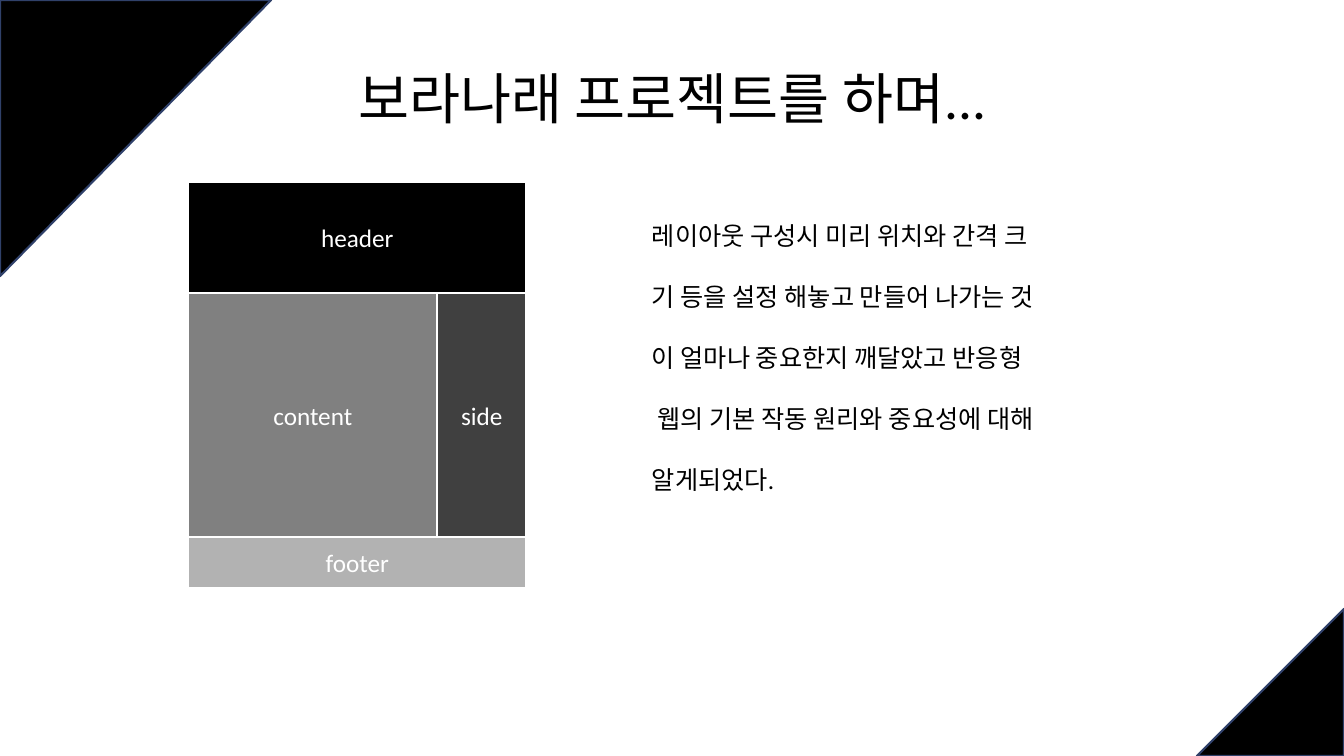
from pptx import Presentation
from pptx.dml.color import RGBColor
from pptx.enum.shapes import MSO_SHAPE
from pptx.enum.text import MSO_ANCHOR, MSO_AUTO_SIZE, PP_ALIGN
from pptx.util import Pt

RECTANGLE = MSO_SHAPE.RECTANGLE
RIGHT_TRIANGLE = MSO_SHAPE.RIGHT_TRIANGLE
MIDDLE = MSO_ANCHOR.MIDDLE
NO_AUTOFIT = MSO_AUTO_SIZE.NONE
LEFT, CENTER = PP_ALIGN.LEFT, PP_ALIGN.CENTER

SLIDE_W, SLIDE_H = 960, 540
BLACK, WHITE, NAVY = "000000", "FFFFFF", "30416A"


def add_filled(kind, x, y, w, h, fill, outline):
    shape = slide.shapes.add_shape(kind, Pt(x), Pt(y), Pt(w), Pt(h))
    shape.shadow.inherit = False
    shape.fill.solid()
    shape.fill.fore_color.rgb = RGBColor.from_string(fill)
    shape.line.color.rgb = RGBColor.from_string(outline)
    shape.line.width = Pt(1.5)
    return shape


def format_text(frame, size, color, align):
    for paragraph in frame.paragraphs:
        paragraph.alignment = align
        for run in paragraph.runs:
            run.font.name = "Calibri"
            run.font.size = Pt(size)
            run.font.color.rgb = RGBColor.from_string(color)


prs = Presentation()
prs.slide_width, prs.slide_height = Pt(SLIDE_W), Pt(SLIDE_H)
slide = prs.slides.add_slide(prs.slide_layouts[5])

# Title
title = slide.shapes.title
title.left, title.top, title.width, title.height = Pt(167), Pt(41), Pt(626.4), Pt(57.6)
title.text_frame.text = "보라나래 프로젝트를 하며..."
title.text_frame.auto_size = NO_AUTOFIT
title.text_frame.vertical_anchor = MIDDLE
format_text(title.text_frame, 39.6, BLACK, CENTER)

# Corner triangles; the turned one is sized before its quarter turn
corner_w, corner_h = 193.7, 197.3
shift = (corner_w - corner_h) / 2
top_corner = add_filled(RIGHT_TRIANGLE, shift, -shift, corner_h, corner_w, BLACK, NAVY)
top_corner.rotation = 90

corner_side = 105.1
bottom_corner = add_filled(RIGHT_TRIANGLE, SLIDE_W - corner_side, SLIDE_H - corner_side,
                           corner_side, corner_side, BLACK, NAVY)
bottom_corner.rotation = 270

# Reflection text
reflection = slide.shapes.add_textbox(Pt(458.6), Pt(154.1), Pt(411), Pt(266.4)).text_frame
reflection.word_wrap = True
reflection.text = "\n".join([
    "레이아웃 구성시 미리 위치와 간격 크",
    "기 등을 설정 해놓고 만들어 나가는 것",
    "이 얼마나 중요한지 깨달았고 반응형",
    " 웹의 기본 작동 원리와 중요성에 대해",
    "알게되었다.",
])
format_text(reflection, 18, BLACK, LEFT)
for paragraph in reflection.paragraphs:
    paragraph.space_after = Pt(22)

# Page layout diagram: rows of (height, [(label, width, fill), ...])
layout_left, layout_top = 134.6, 130.3
content_w, side_w = 177.8, 63.4
layout_rows = [
    (79.2, [("header", content_w + side_w, BLACK)]),
    (174.2, [("content", content_w, "808080"), ("side", side_w, "404040")]),
    (36.7, [("footer", content_w + side_w, "B2B2B2")]),
]
y = layout_top
for height, blocks in layout_rows:
    x = layout_left
    for label, width, fill in blocks:
        block = add_filled(RECTANGLE, x, y, width, height, fill, WHITE)
        block.text_frame.text = label
        block.text_frame.vertical_anchor = MIDDLE
        format_text(block.text_frame, 18, WHITE, CENTER)
        x += width
    y += height

prs.save("out.pptx")
